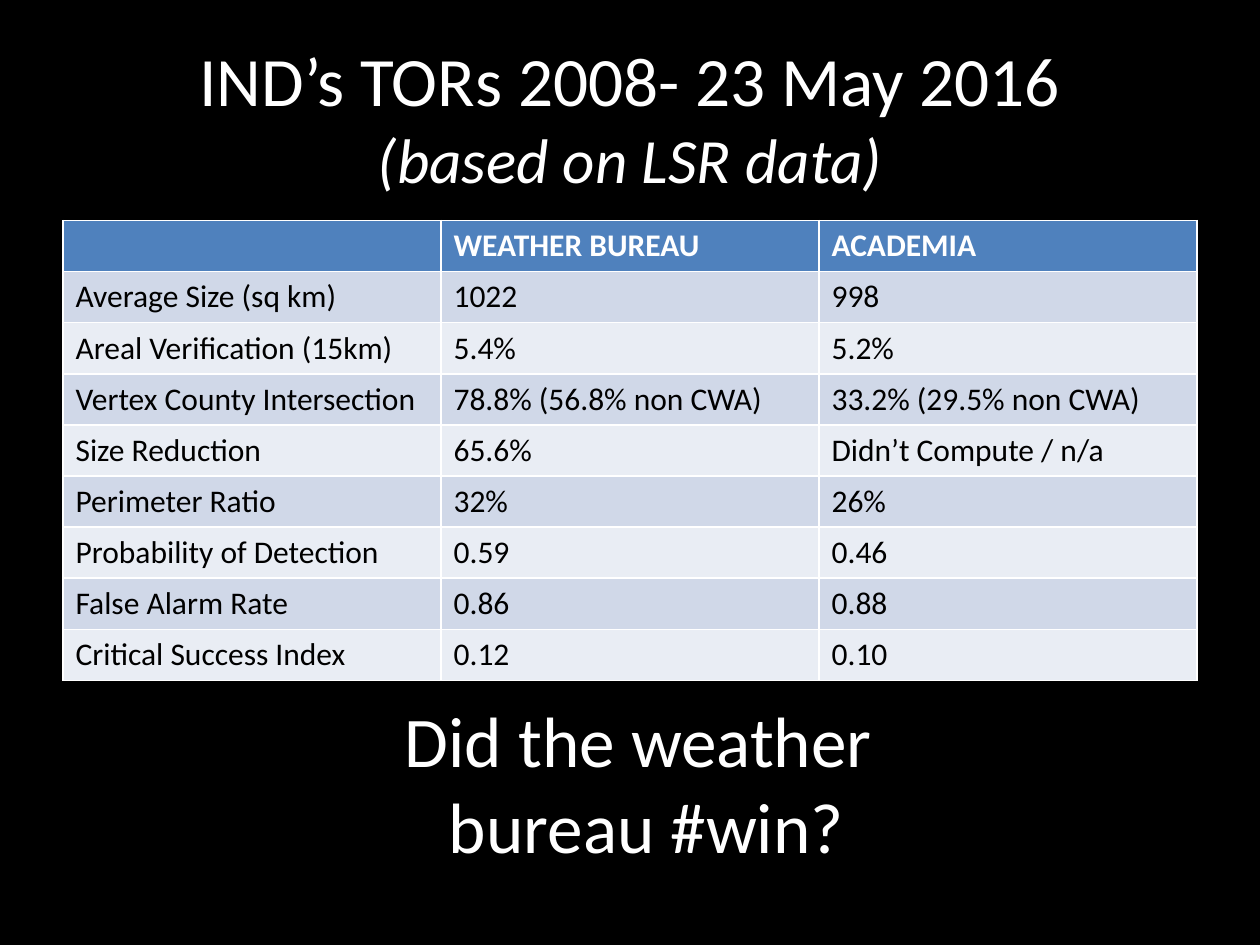
import pptx
import pptx.util
import pptx.dml.color
import pptx.enum.text
from dataclasses import dataclass


@dataclass(frozen=True)
class Theme:
    font: str = "Calibri"
    background: str = "000000"
    light: str = "FFFFFF"
    dark: str = "000000"
    header: str = "4F81BD"
    bands: tuple = ("E9EDF4", "D0D8E8")
    title_size: float = 39.6
    subtitle_size: float = 36
    table_size: float = 18
    question_size: float = 40.7


theme = Theme()
color = pptx.dml.color.RGBColor.from_string
center = pptx.enum.text.PP_ALIGN.CENTER


def style_paragraph(para, size, ink, bold=False):
    para.font.name = theme.font
    para.font.size = pptx.util.Pt(size)
    para.font.bold = bold
    para.font.color.rgb = color(ink)


def prepare_frame(frame):
    frame.word_wrap = True
    frame.auto_size = pptx.enum.text.MSO_AUTO_SIZE.NONE
    frame.vertical_anchor = pptx.enum.text.MSO_ANCHOR.MIDDLE


deck = pptx.Presentation()
deck.slide_width = pptx.util.Inches(10)
deck.slide_height = pptx.util.Inches(7.5)
page = deck.slides.add_slide(deck.slide_layouts[5])
page.background.fill.solid()
page.background.fill.fore_color.rgb = color(theme.background)

margin = int(deck.slide_width * 0.05)
content_width = deck.slide_width - 2 * margin
heading_height = pptx.util.Inches(1.25)

title = page.shapes.title
title.left, title.top = margin, int(deck.slide_height * 0.04)
title.width, title.height = content_width, heading_height
prepare_frame(title.text_frame)
para = title.text_frame.paragraphs[0]
para.alignment = center
style_paragraph(para, theme.title_size, theme.light)
para.add_run().text = "IND’s TORs 2008- 23 May 2016"
para.add_line_break()
span = para.add_run()
span.text = "(based on LSR data)"
span.font.size = pptx.util.Pt(theme.subtitle_size)
span.font.italic = True

scores = [
    ("", "WEATHER BUREAU", "ACADEMIA"),
    ("Average Size (sq km)", "1022", "998"),
    ("Areal Verification (15km)", "5.4%", "5.2%"),
    ("Vertex County Intersection", "78.8% (56.8% non CWA)", "33.2% (29.5% non CWA)"),
    ("Size Reduction", "65.6%", "Didn’t Compute / n/a"),
    ("Perimeter Ratio", "32%", "26%"),
    ("Probability of Detection", "0.59", "0.46"),
    ("False Alarm Rate", "0.86", "0.88"),
    ("Critical Success Index", "0.12", "0.10"),
]
table = page.shapes.add_table(
    len(scores), len(scores[0]), margin, pptx.util.Inches(1.75),
    content_width, pptx.util.Inches(3.65),
).table
for row, values in enumerate(scores):
    is_header = row == 0
    for column, value in enumerate(values):
        cell = table.cell(row, column)
        cell.text = value
        cell.fill.solid()
        cell.fill.fore_color.rgb = color(theme.header if is_header else theme.bands[row % 2])
        ink = theme.light if is_header else theme.dark
        style_paragraph(cell.text_frame.paragraphs[0], theme.table_size, ink, is_header)

question = page.shapes.add_textbox(
    pptx.util.Inches(0.63), pptx.util.Inches(5.58), content_width, heading_height
)
prepare_frame(question.text_frame)
question.text_frame.text = "Did the weather \nbureau #win?"
for para in question.text_frame.paragraphs:
    para.alignment = center
    style_paragraph(para, theme.question_size, theme.light)

deck.save("out.pptx")
